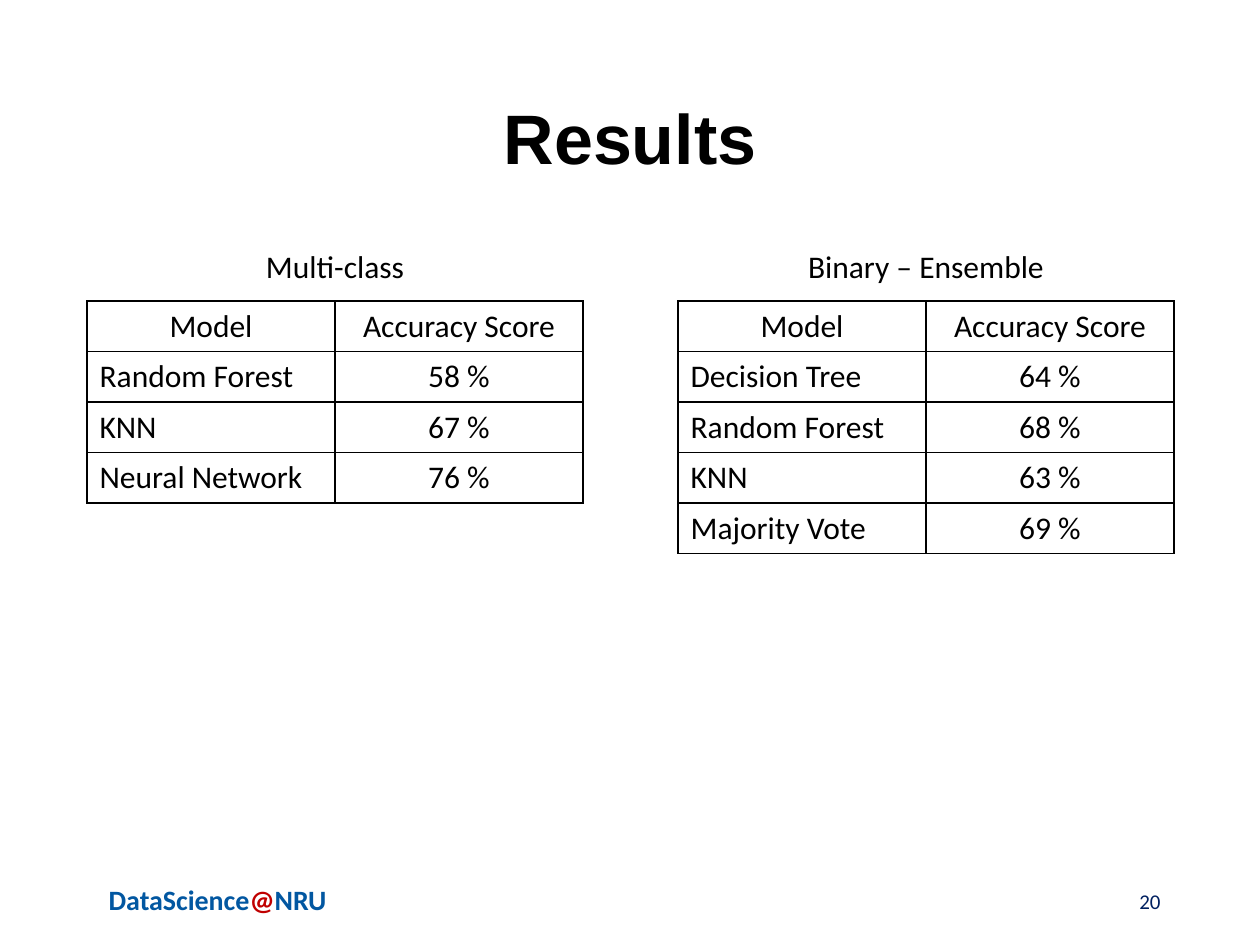
from dataclasses import dataclass
from lxml.etree import SubElement as Sub
from pptx import Presentation as Deck
from pptx.dml.color import RGBColor as Color
from pptx.enum.text import MSO_ANCHOR as Anchor, PP_ALIGN as Align
from pptx.oxml.ns import qn
from pptx.util import Emu, Pt

SCALE = 914400 / 126


def px(count):
    return Emu(round(count * SCALE))


@dataclass(frozen=True)
class Theme:
    black: str = "000000"
    blue: str = "0257A1"
    red: str = "C00000"
    navy: str = "002060"
    head: str = "Arial"
    body: str = "Calibri"
    title: int = 40
    text: int = 18
    brand: int = 16
    small: int = 12
    rule: int = 1


class Painter:
    def __init__(self, theme, slide):
        self.theme = theme
        self.slide = slide

    def style(self, run, size, color, face=None, bold=False):
        font = run.font
        font.name = face or self.theme.body
        font.size = Pt(size)
        font.bold = bold
        font.color.rgb = Color.from_string(color)

    def label(self, box, parts, size, align=Align.CENTER, anchor=Anchor.TOP,
              face=None, bold=False):
        frame = self.slide.shapes.add_textbox(*map(px, box)).text_frame
        frame.word_wrap = True
        frame.vertical_anchor = anchor
        para = frame.paragraphs[0]
        para.alignment = align
        for text, color in parts:
            run = para.add_run()
            run.text = text
            self.style(run, size, color, face, bold)
        return para

    def border(self, cell):
        props = cell._tc.get_or_add_tcPr()
        for side in ("lnL", "lnR", "lnT", "lnB"):
            line = Sub(props, qn(f"a:{side}"), w=str(Pt(self.theme.rule)))
            fill = Sub(line, qn("a:solidFill"))
            Sub(fill, qn("a:srgbClr"), val=self.theme.black)

    def table(self, left, top, width, step, rows):
        theme = self.theme
        frame = self.slide.shapes.add_table(
            len(rows), len(rows[0]), px(left), px(top), px(width), px(step * len(rows)))
        grid = frame.table
        grid.first_row = grid.horz_banding = False
        for r, row in enumerate(rows):
            for c, text in enumerate(row):
                cell = grid.cell(r, c)
                self.border(cell)
                cell.fill.background()
                para = cell.text_frame.paragraphs[0]
                para.text = text
                para.alignment = Align.LEFT if r and not c else Align.CENTER
                self.style(para.runs[0], theme.text, theme.black)


def main():
    theme = Theme()
    deck = Deck()
    deck.slide_width, deck.slide_height = px(1260), px(945)
    paint = Painter(theme, deck.slides.add_slide(deck.slide_layouts[6]))

    paint.label((87, 876, 261, 67),
                [("DataScience", theme.blue), ("@", theme.red), ("NRU", theme.blue)],
                theme.brand, bold=True)
    title = paint.label((87, 50, 1086, 183), [("Results", theme.black)], theme.title,
                        anchor=Anchor.MIDDLE, face=theme.head, bold=True)
    title.line_spacing = 0.9
    paint.label((890, 876, 283, 50), [("20", theme.navy)], theme.small,
                align=Align.RIGHT, anchor=Anchor.MIDDLE)

    header = ("Model", "Accuracy Score")
    groups = [
        (87, "Multi-class",
         [("Random Forest", "58 %"), ("KNN", "67 %"), ("Neural Network", "76 %")]),
        (678, "Binary – Ensemble",
         [("Decision Tree", "64 %"), ("Random Forest", "68 %"),
          ("KNN", "63 %"), ("Majority Vote", "69 %")]),
    ]
    for left, name, scores in groups:
        paint.label((left, 241, 496, 50), [(name, theme.black)], theme.text)
        paint.table(left, 301, 496, 50, [header, *scores])

    deck.save("out.pptx")


if __name__ == "__main__":
    main()
